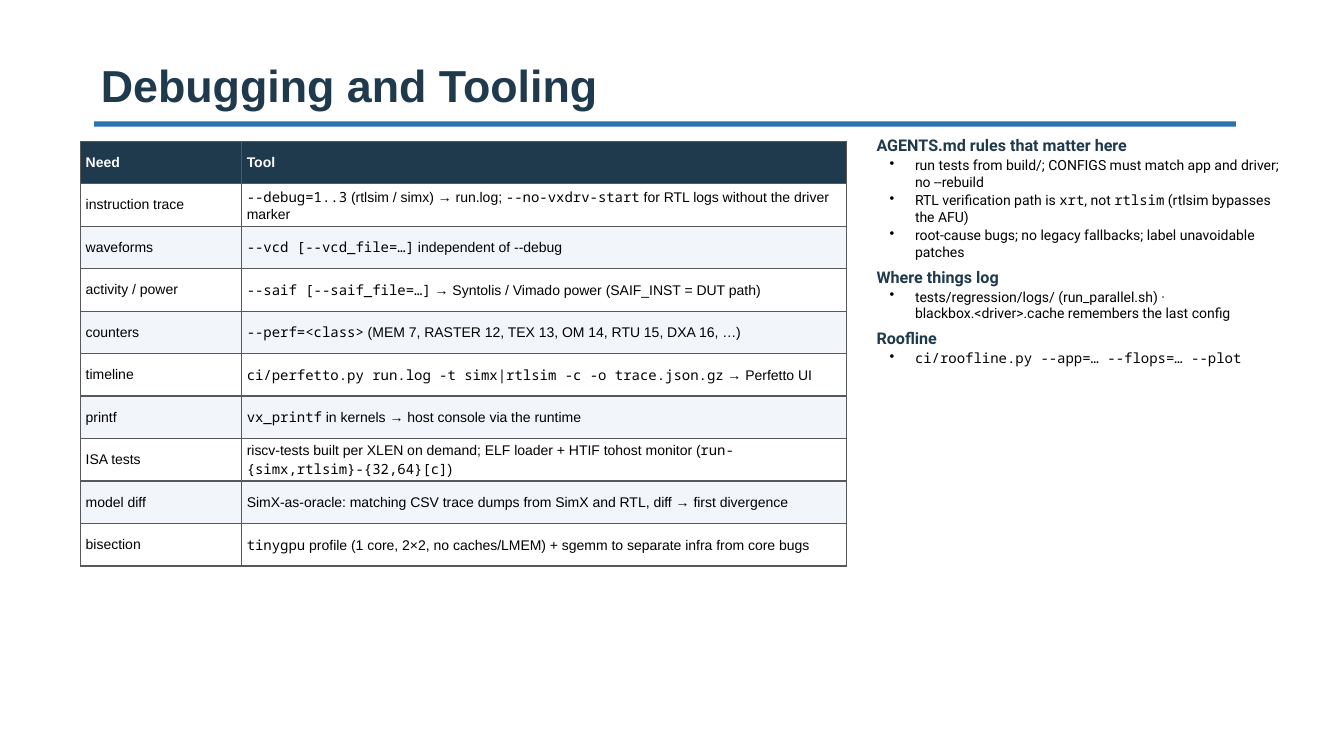
from dataclasses import dataclass

import pptx
import pptx.dml.color
import pptx.enum.shapes
import pptx.enum.text
import pptx.oxml
import pptx.oxml.ns
import pptx.util
from lxml import etree

Cm = pptx.util.Cm
Pt = pptx.util.Pt
RGBColor = pptx.dml.color.RGBColor
Anchor = pptx.enum.text.MSO_ANCHOR

NAVY = RGBColor(0x1F, 0x39, 0x4D)
BLUE = RGBColor(0x27, 0x74, 0xAE)
BLACK = RGBColor(0x00, 0x00, 0x00)
WHITE = RGBColor(0xFF, 0xFF, 0xFF)
PALE = RGBColor(0xF2, 0xF6, 0xFA)
GREY = RGBColor(0x57, 0x58, 0x5B)

CODE_FONT = "Noto Sans Mono"


@dataclass(frozen=True)
class Style:
    font: str
    size: float
    color: RGBColor
    bold: bool = False


@dataclass(frozen=True)
class Tool:
    need: str
    usage: str


@dataclass(frozen=True)
class Section:
    heading: str
    points: tuple[str, ...]


TITLE = Style("Arial", 32, NAVY, True)
TABLE_HEAD = Style("Arial", 10, WHITE, True)
TABLE_BODY = Style("Arial", 10, BLACK)
SECTION_HEAD = Style("Roboto", 11.5, NAVY, True)
SECTION_POINT = Style("Roboto", 10, BLACK)

# Text between backticks is set in the code font
TOOLS = [
    Tool("instruction trace", "`--debug=1..3` (rtlsim / simx) → run.log; "
         "`--no-vxdrv-start` for RTL logs without the driver marker"),
    Tool("waveforms", "`--vcd [--vcd_file=…]` independent of --debug"),
    Tool("activity / power", "`--saif [--saif_file=…]` → Syntolis / Vimado power (SAIF_INST = DUT path)"),
    Tool("counters", "`--perf=<class>` (MEM 7, RASTER 12, TEX 13, OM 14, RTU 15, DXA 16, …)"),
    Tool("timeline", "`ci/perfetto.py run.log -t simx|rtlsim -c -o trace.json.gz` → Perfetto UI"),
    Tool("printf", "`vx_printf` in kernels → host console via the runtime"),
    Tool("ISA tests", "riscv-tests built per XLEN on demand; ELF loader + HTIF tohost monitor "
         "(`run-{simx,rtlsim}-{32,64}[c]`)"),
    Tool("model diff", "SimX-as-oracle: matching CSV trace dumps from SimX and RTL, diff → first divergence"),
    Tool("bisection", "`tinygpu` profile (1 core, 2×2, no caches/LMEM) + sgemm to separate infra from core bugs"),
]

SECTIONS = [
    Section("AGENTS.md rules that matter here", (
        "run tests from build/; CONFIGS must match app and driver; no --rebuild",
        "RTL verification path is `xrt`, not `rtlsim` (rtlsim bypasses the AFU)",
        "root-cause bugs; no legacy fallbacks; label unavoidable patches",
    )),
    Section("Where things log", (
        "tests/regression/logs/ (run_parallel.sh) · blackbox.<driver>.cache remembers the last config",
    )),
    Section("Roofline", ("`ci/roofline.py --app=… --flops=… --plot`",)),
]


def write(para, text: str, style: Style) -> None:
    """Add the text run by run, switching font at each backtick."""
    for index, piece in enumerate(text.split("`")):
        if not piece:
            continue
        span = para.add_run()
        span.text = piece
        span.font.name = CODE_FONT if index % 2 else style.font
        span.font.size = Pt(style.size)
        span.font.bold = style.bold
        span.font.color.rgb = style.color


def add_box(page, left: float, top: float, width: float, height: float, anchor: Anchor):
    box = page.shapes.add_textbox(Cm(left), Cm(top), Cm(width), Cm(height))
    box.text_frame.word_wrap = True
    box.text_frame.vertical_anchor = anchor
    return box.text_frame


def add_bullet(para) -> None:
    properties = para._p.get_or_add_pPr()
    properties.set("marL", str(Cm(0.97)))
    properties.set("indent", str(Cm(-0.64)))
    bullet = etree.SubElement(properties, pptx.oxml.ns.qn("a:buChar"))
    bullet.set("char", "•")


def add_borders(cell) -> None:
    properties = cell._tc.get_or_add_tcPr()
    for side in ("lnL", "lnR", "lnT", "lnB"):
        properties.append(pptx.oxml.parse_xml(
            f'<a:{side} {pptx.oxml.ns.nsdecls("a")} w="{Pt(1)}">'
            f'<a:solidFill><a:srgbClr val="{GREY}"/></a:solidFill></a:{side}>'))


def fill_cell(cell, text: str, style: Style, color: RGBColor) -> None:
    add_borders(cell)
    cell.fill.solid()
    cell.fill.fore_color.rgb = color
    cell.vertical_anchor = Anchor.MIDDLE
    cell.margin_left = cell.margin_right = Cm(0.13)
    cell.margin_top = cell.margin_bottom = Cm(0.05)
    write(cell.text_frame.paragraphs[0], text, style)


def add_heading(page) -> None:
    rule = page.shapes.add_shape(pptx.enum.shapes.MSO_SHAPE.RECTANGLE,
                                 Cm(2.37), Cm(3.06), Cm(28.78), Cm(0.13))
    rule.shadow.inherit = False
    rule.fill.solid()
    rule.fill.fore_color.rgb = BLUE
    rule.line.fill.background()
    frame = add_box(page, 2.29, 0.64, 28.19, 2.29, Anchor.BOTTOM)
    write(frame.paragraphs[0], "Debugging and Tooling", TITLE)


def add_tool_table(page) -> None:
    rows = [Tool("Need", "Tool"), *TOOLS]
    widths = (4.06, 15.24)
    row_height = 1.07
    table = page.shapes.add_table(len(rows), len(widths), Cm(2.03), Cm(3.56),
                                  Cm(sum(widths)), Cm(row_height * len(rows))).table
    table.first_row = table.horz_banding = False
    for column, width in zip(table.columns, widths):
        column.width = Cm(width)
    for index, tool in enumerate(rows):
        table.rows[index].height = Cm(row_height)
        style = TABLE_BODY if index else TABLE_HEAD
        color = (WHITE if index % 2 else PALE) if index else NAVY
        fill_cell(table.cell(index, 0), tool.need, style, color)
        fill_cell(table.cell(index, 1), tool.usage, style, color)


def add_sections(page) -> None:
    frame = add_box(page, 21.84, 3.3, 10.67, 13.72, Anchor.TOP)
    for index, section in enumerate(SECTIONS):
        para = frame.add_paragraph() if index else frame.paragraphs[0]
        para.space_before = Pt(5 if index else 0)
        write(para, section.heading, SECTION_HEAD)
        for point in section.points:
            para = frame.add_paragraph()
            para.level = 1
            add_bullet(para)
            para.space_before = Pt(1)
            write(para, point, SECTION_POINT)


def main() -> None:
    deck = pptx.Presentation()
    deck.slide_width, deck.slide_height = Cm(33.87), Cm(19.05)
    page = deck.slides.add_slide(deck.slide_layouts[6])
    add_heading(page)
    add_sections(page)
    add_tool_table(page)
    deck.save("out.pptx")


if __name__ == "__main__":
    main()
